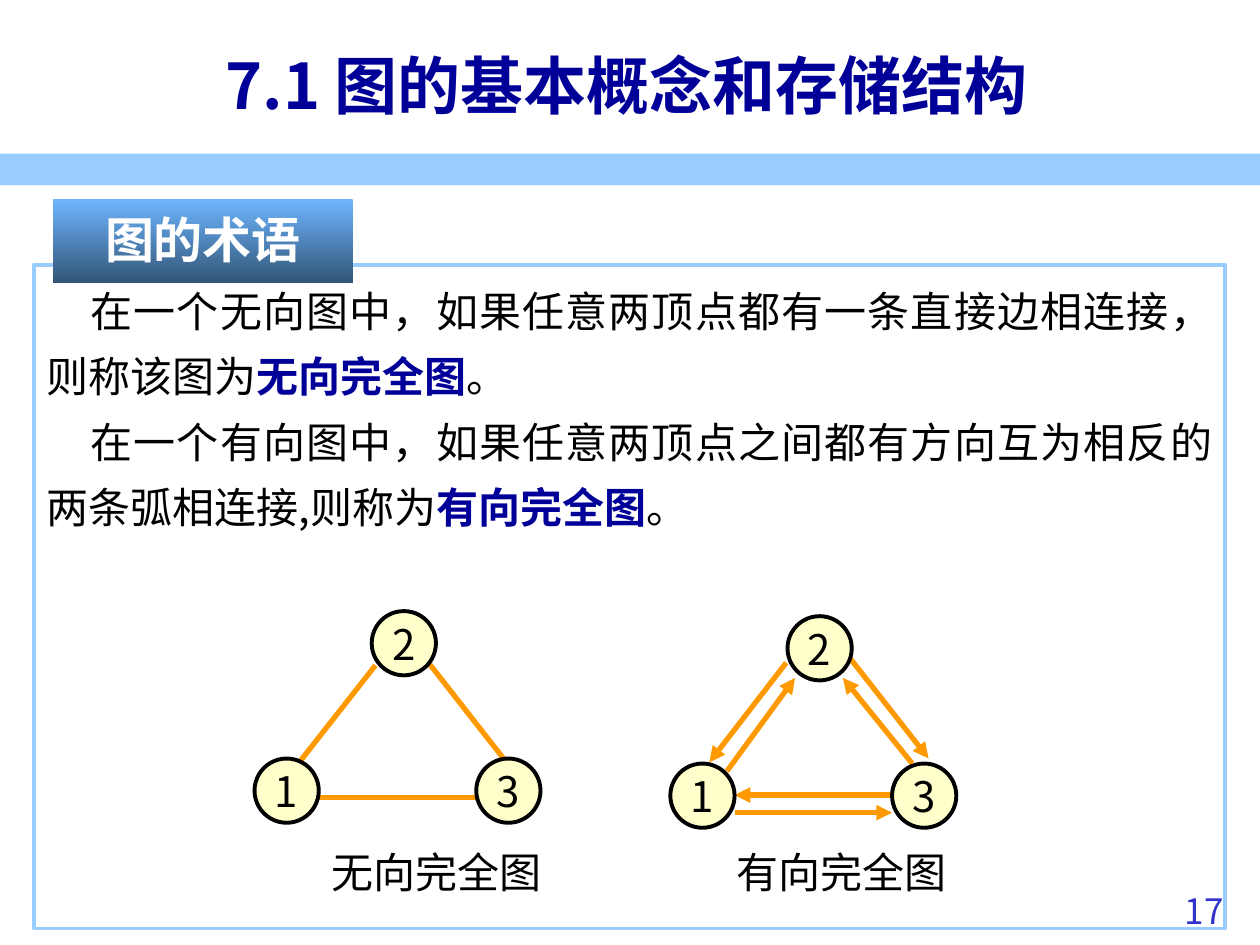
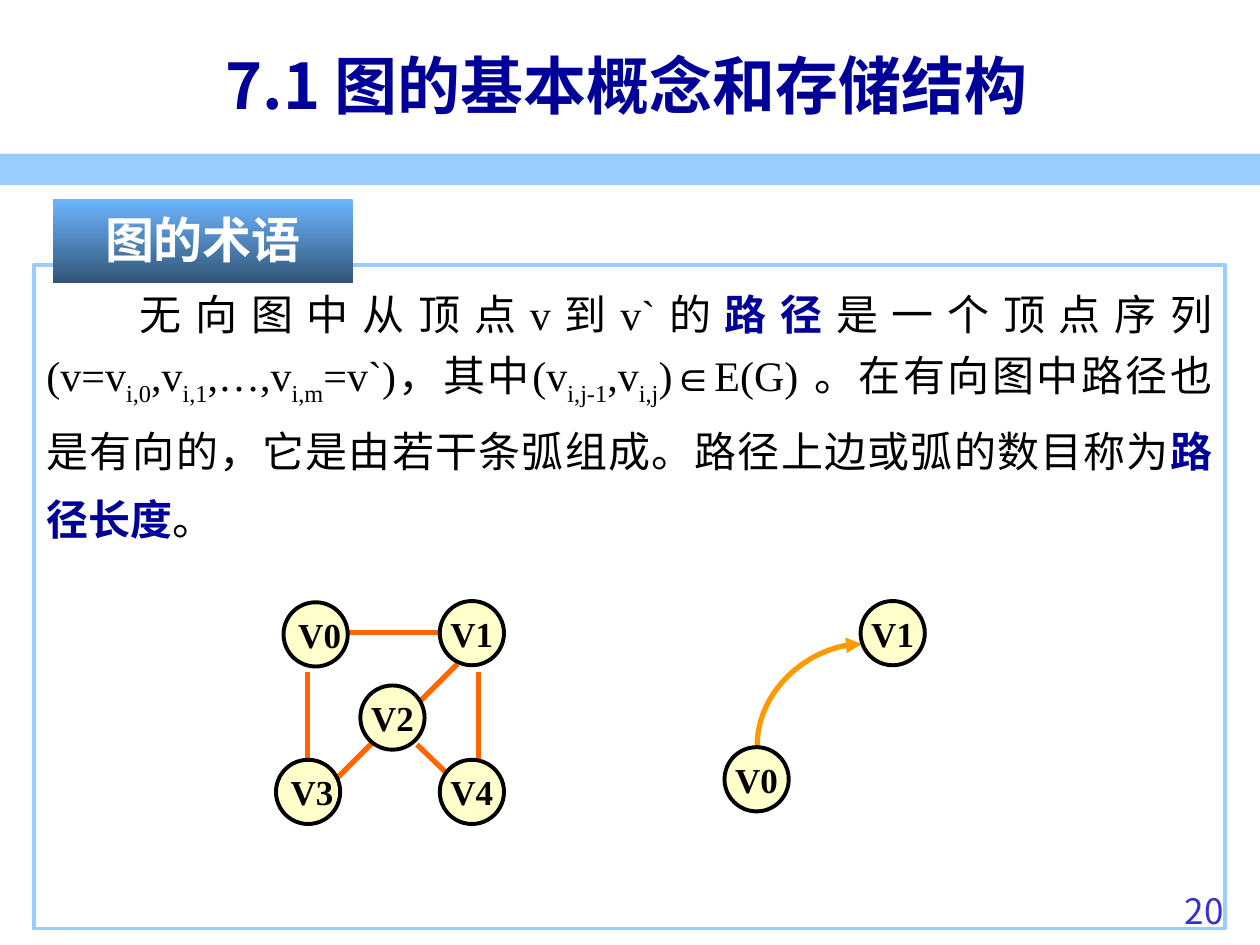
from lxml import etree
from pptx import Presentation
from pptx.dml.color import RGBColor
from pptx.enum.shapes import MSO_CONNECTOR, MSO_SHAPE
from pptx.enum.text import MSO_ANCHOR, PP_ALIGN
from pptx.oxml.ns import qn
from pptx.util import Pt

PX = 9144  # 100 px to the inch
STRAIGHT, CURVE = MSO_CONNECTOR.STRAIGHT, MSO_CONNECTOR.CURVE
RECTANGLE, OVAL = MSO_SHAPE.RECTANGLE, MSO_SHAPE.OVAL
TOP, MIDDLE = MSO_ANCHOR.TOP, MSO_ANCHOR.MIDDLE
LEFT, CENTER, RIGHT, JUSTIFY = PP_ALIGN.LEFT, PP_ALIGN.CENTER, PP_ALIGN.RIGHT, PP_ALIGN.JUSTIFY

SANS, NUMBER_FONT, SERIF = "Noto Sans CJK SC", "Noto Sans CJK KR", "Times New Roman"
NAVY, SKY, BLACK, WHITE = "000099", "99CCFF", "000000", "FFFFFF"
CREAM, AMBER, ORANGE, NUMBER_BLUE = "FFFFCC", "FF9900", "FF6600", "3333CC"
TAB_GRADIENT = ("6DB6FF", "325476")
NODE = 51

# Content: a span is (text, style), style being plain, key (bold) or sub (subscript)
TITLE = "7.1 图的基本概念和存储结构"
TAB = "图的术语"

# Nodes are (label, left, top); edges are (x1, y1, x2, y2), arrows pointing to the second end
SLIDES = [
    {
        "number": "17",
        "font": SANS,
        "indent": 35,
        "line_points": 37.3,
        "body": [
            [("在一个无向图中，如果任意两顶点都有一条直接边相连接，则称该图为", "plain"),
             ("无向完全图", "key"), ("。", "plain")],
            [("在一个有向图中，如果任意两顶点之间都有方向互为相反的两条弧相连接,则称为", "plain"),
             ("有向完全图", "key"), ("。", "plain")],
        ],
        "captions": [("无向完全图", 253, 664), ("有向完全图", 575, 664)],
        "node_text": {"size": 24, "font": SANS},
        "graphs": [
            {
                "color": AMBER, "arrows": False,
                "edges": [(253, 633, 378, 633), (402, 605, 337, 522), (298, 528, 236, 607)],
                "nodes": [("3", 378, 602), ("1", 202, 602), ("2", 295, 485)],
            },
            {
                "color": AMBER, "arrows": True,
                "edges": [(583, 645, 708, 645), (708, 631, 583, 631), (724, 606, 669, 538),
                          (672, 519, 737, 602), (624, 526, 563, 605), (577, 612, 631, 538)],
                "nodes": [("3", 708, 606), ("1", 532, 606), ("2", 625, 489)],
            },
        ],
    },
    {
        "number": "20",
        "font": SERIF,
        "indent": 74,
        "line_points": 39,
        "body": [
            [("无向图中从顶点v到v`的", "plain"), ("路径", "key"),
             ("是一个顶点序列(v=v", "plain"), ("i,0", "sub"), (",v", "plain"), ("i,1", "sub"),
             (",…,v", "plain"), ("i,m", "sub"), ("=v`)，其中(v", "plain"), ("i,j-1", "sub"),
             (",v", "plain"), ("i,j", "sub"),
             (")∈E(G) 。在有向图中路径也是有向的，它是由若干条弧组成。路径上边或弧的数目称为", "plain"),
             ("路径长度", "key"), ("。", "plain")],
        ],
        "captions": [],
        "node_text": {"size": 20, "font": SERIF, "bold": True},
        "graphs": [
            {
                "color": ORANGE, "arrows": False,
                "edges": [(244, 533, 244, 605), (274, 502, 357, 502), (380, 533, 380, 605),
                          (298, 587, 268, 617), (363, 527, 333, 557), (331, 591, 357, 616)],
                "nodes": [(" V0", 225, 478), ("V4", 349, 603), (" V3", 219, 603),
                          ("V1", 349, 477), ("V2", 286, 544)],
            },
            {
                "color": AMBER, "arrows": True,
                "edges": [],
                "arc": (602, 510, 683, 593),
                "nodes": [("V0", 575, 593), ("V1", 683, 477)],
            },
        ],
    },
]


# Helpers
def rgb(value):
    return RGBColor.from_string(value)


def px(*values):
    return [value * PX for value in values]


def add_text(box, text, size=24, font=SANS, color=BLACK, bold=False, align=LEFT,
             anchor=TOP, wrap=True, line_points=None, indent=0):
    """Write text, given as a string or as paragraphs of (text, style) spans."""
    paragraphs = [[(text, "plain")]] if isinstance(text, str) else text
    frame = box.text_frame
    frame.word_wrap = wrap
    frame.vertical_anchor = anchor
    for number, spans in enumerate(paragraphs):
        para = frame.add_paragraph() if number else frame.paragraphs[0]
        para.alignment = align
        para.space_before = Pt(0)
        if line_points:
            para.line_spacing = Pt(line_points)
        if indent:
            para._p.get_or_add_pPr().set("indent", str(indent * PX))
        for words, style in spans:
            span = para.add_run()
            span.text = words
            span.font.size = Pt(size)
            span.font.name = font
            span.font.bold = bold or style == "key"
            span.font.color.rgb = rgb(NAVY if style == "key" else color)
            properties = span._r.get_or_add_rPr()
            if style == "sub":
                properties.set("baseline", "-25000")
            east_asian = SANS if font == SERIF else font
            etree.SubElement(properties, qn("a:ea"), typeface=east_asian)


def add_box(shapes, kind, place, fill=None, line=None):
    box = shapes.add_shape(kind, *px(*place))
    box.shadow.inherit = False
    if fill:
        box.fill.solid()
        box.fill.fore_color.rgb = rgb(fill)
    else:
        box.fill.background()
    if line:
        box.line.color.rgb = rgb(line)
        box.line.width = Pt(2.25)
    else:
        box.line.fill.background()
    return box


def add_label(page, text, place, **text_format):
    add_text(page.shapes.add_textbox(*px(*place)), text, **text_format)


def add_edge(shapes, ends, color, arrow, kind=STRAIGHT):
    edge = shapes.add_connector(kind, *px(*ends))
    edge.line.color.rgb = rgb(color)
    edge.line.width = Pt(3)
    if arrow:
        etree.SubElement(edge.line._get_or_add_ln(), qn("a:tailEnd"), type="triangle")
    etree.SubElement(edge._element.spPr, qn("a:effectLst"))
    return edge


def add_arc(shapes, ends, color):
    """A quarter bend that leaves upwards and arrives from the left."""
    properties = add_edge(shapes, ends, color, True, CURVE)._element.spPr
    properties.find(qn("a:prstGeom")).set("prst", "curvedConnector2")
    properties.find(qn("a:xfrm")).set("rot", str(270 * 60000))


def add_graph(page, graph, node_text):
    shapes = page.shapes.add_group_shape().shapes
    for ends in graph["edges"]:
        add_edge(shapes, ends, graph["color"], graph["arrows"])
    if "arc" in graph:
        add_arc(shapes, graph["arc"], graph["color"])
    for label, left, top in graph["nodes"]:
        node = add_box(shapes, OVAL, (left, top, NODE, NODE), CREAM, BLACK)
        add_text(node, label, align=CENTER, anchor=MIDDLE, wrap=False, **node_text)


# Parts that every slide has
def add_page(deck, content):
    page = deck.slides.add_slide(deck.slide_layouts[5])
    title = page.shapes.title
    title.left, title.top, title.width, title.height = px(169, 21, 819, 92)
    add_text(title, TITLE, size=36, color=NAVY, bold=True, anchor=MIDDLE)
    add_box(page.shapes, RECTANGLE, (0, 122, 1000, 25), SKY)
    add_label(page, content["number"], (886, 698, 95, 52), size=20, font=NUMBER_FONT,
              color=NUMBER_BLUE, align=RIGHT, line_points=26)

    frame = add_box(page.shapes, RECTANGLE, (27, 210, 945, 527), line=SKY)
    add_text(frame, content["body"], font=content["font"], align=JUSTIFY,
             line_points=content["line_points"], indent=content["indent"])

    tab = add_box(page.shapes, RECTANGLE, (42, 158, 238, 67))
    tab.fill.gradient()
    tab.fill.gradient_angle = 270
    for stop, color in zip(tab.fill.gradient_stops, TAB_GRADIENT):
        stop.color.rgb = rgb(color)
    add_text(tab, TAB, size=28, color=WHITE, bold=True, align=CENTER, line_points=36)
    return page


def main():
    deck = Presentation()
    deck.slide_width, deck.slide_height = px(1000, 750)
    for content in SLIDES:
        page = add_page(deck, content)
        for caption, left, top in content["captions"]:
            add_label(page, caption, (left, top, 187, 50), wrap=False, line_points=31)
        for graph in content["graphs"]:
            add_graph(page, graph, content["node_text"])
    deck.save("out.pptx")


if __name__ == "__main__":
    main()
